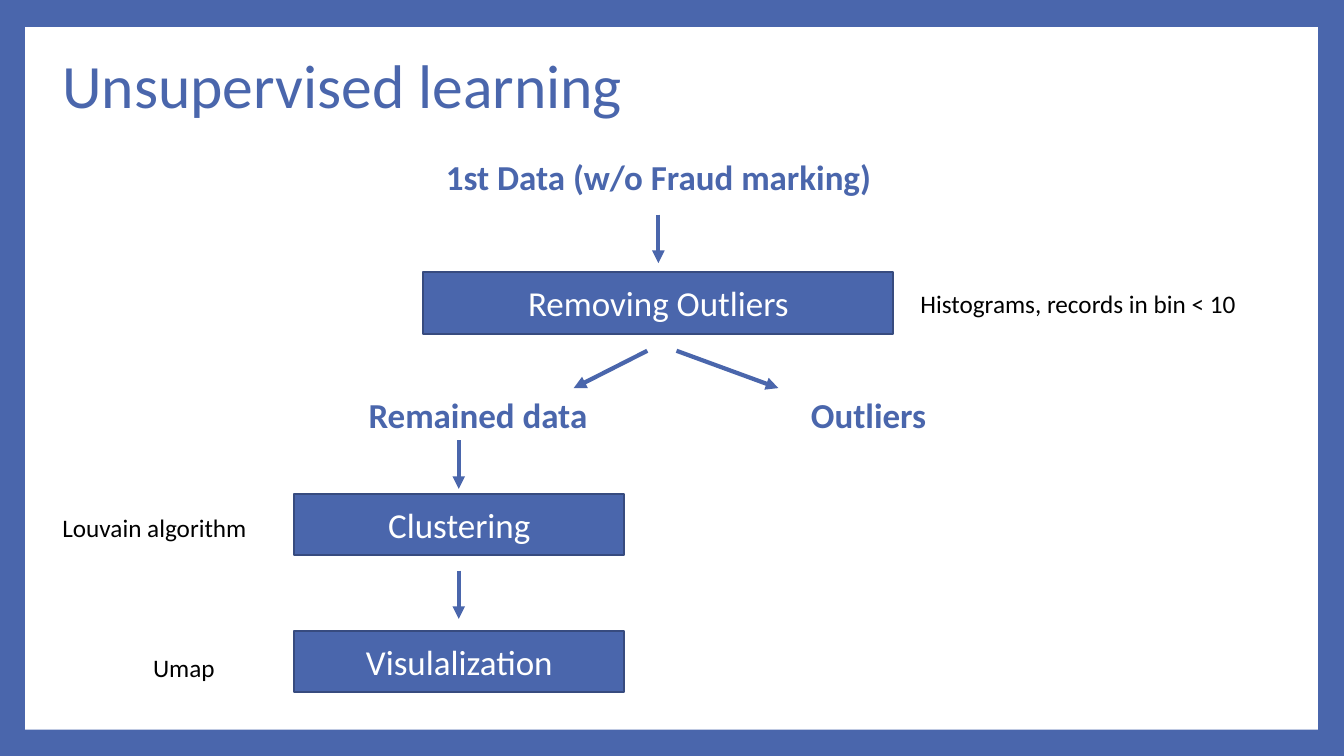
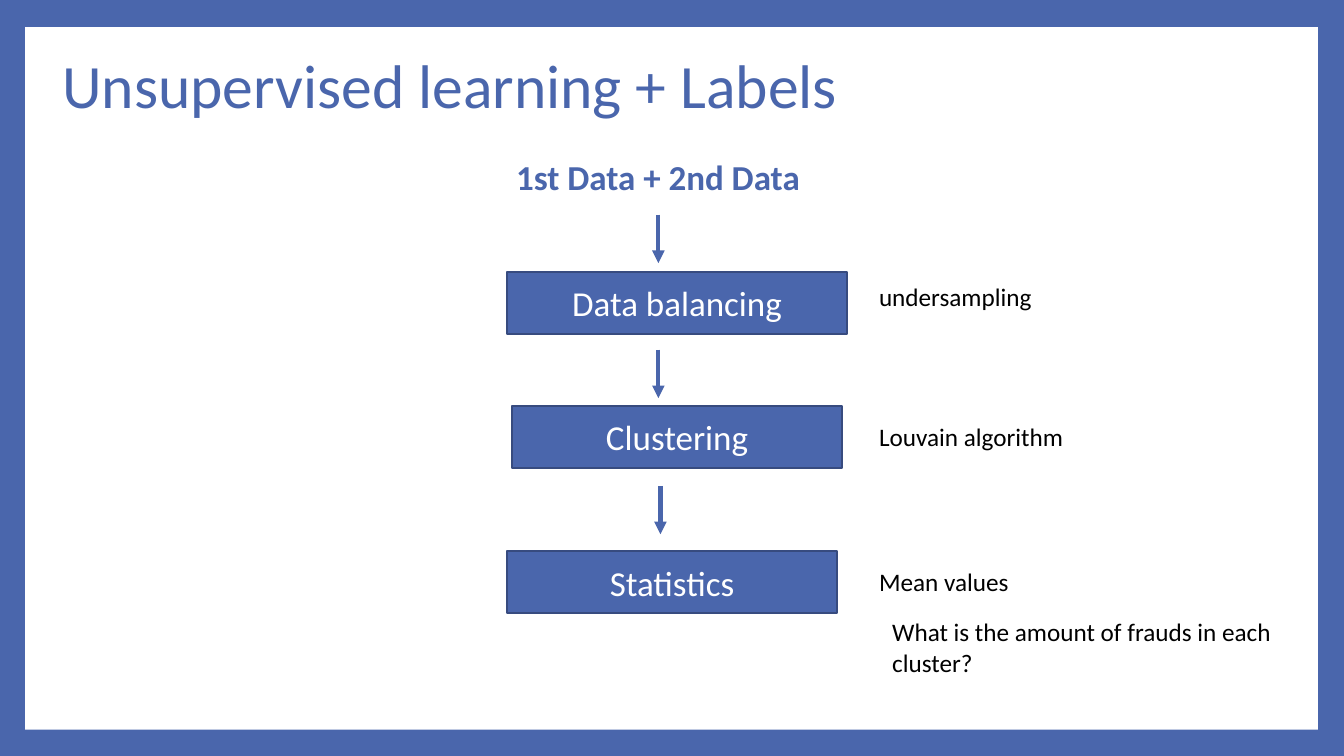
from lxml import etree
from pptx import Presentation
from pptx.dml.color import RGBColor
from pptx.enum.shapes import MSO_CONNECTOR, MSO_SHAPE
from pptx.enum.text import MSO_ANCHOR, PP_ALIGN
from pptx.oxml.ns import qn
from pptx.util import Inches, Pt

RECT = MSO_SHAPE.RECTANGLE
STRAIGHT = MSO_CONNECTOR.STRAIGHT
LEFT, CENTER = PP_ALIGN.LEFT, PP_ALIGN.CENTER
TOP, MIDDLE = MSO_ANCHOR.TOP, MSO_ANCHOR.MIDDLE

FONT = "Calibri"
BLUE, NAVY, WHITE, BLACK = "4A66AC", "374B7F", "FFFFFF", "000000"
STEP_W, STEP_H, ARROW_H = 3.27, 0.61, 0.48


def rgb(value):
    return RGBColor.from_string(value)


def write(shape, text, size=18, color=BLACK, bold=False, align=LEFT,
          anchor=TOP, wrap=True, spacing=None):
    tf = shape.text_frame
    tf.word_wrap = wrap
    tf.vertical_anchor = anchor
    p = tf.paragraphs[0]
    p.alignment = align
    p.line_spacing = spacing
    r = p.add_run()
    r.text = text
    r.font.name = FONT
    r.font.size = Pt(size)
    r.font.bold = bold
    r.font.color.rgb = rgb(color)


class Deck:
    """Flowchart slides in one style, drawn on the current slide."""

    def __init__(self):
        self.prs = Presentation()
        self.prs.slide_width = Inches(13.33)
        self.prs.slide_height = Inches(7.5)
        self.s = None

    def slide(self, title):
        self.s = self.prs.slides.add_slide(self.prs.slide_layouts[6])
        fill = self.s.background.fill
        fill.solid()
        fill.fore_color.rgb = rgb(BLUE)
        self.rect(0.25, 0.27, 12.82, 6.97, WHITE)
        write(self.box(0.52, 0.37, 10.8, 1.02), title, size=44, color=BLUE,
              anchor=MIDDLE, spacing=0.9)

    def box(self, x, y, w, h):
        return self.s.shapes.add_textbox(Inches(x), Inches(y), Inches(w), Inches(h))

    def rect(self, x, y, w, h, color, border=None):
        sp = self.s.shapes.add_shape(RECT, Inches(x), Inches(y), Inches(w), Inches(h))
        sp.shadow.inherit = False
        sp.fill.solid()
        sp.fill.fore_color.rgb = rgb(color)
        if border:
            sp.line.color.rgb = rgb(border)
            sp.line.width = Pt(1.5)
        else:
            sp.line.fill.background()
        return sp

    def step(self, text, x, y, w=STEP_W):
        sp = self.rect(x, y, w, STEP_H, BLUE, NAVY)
        write(sp, text, size=25, color=WHITE, align=CENTER, anchor=MIDDLE)

    def data(self, text, x, y, w):
        write(self.box(x, y, w, 0.52), text, size=25, color=BLUE, bold=True,
              align=CENTER, wrap=False)

    def note(self, text, x, y, w, h=0.4, wrap=False):
        write(self.box(x, y, w, h), text, wrap=wrap)

    def arrow(self, x1, y1, x2, y2):
        line = self.s.shapes.add_connector(
            STRAIGHT, Inches(x1), Inches(y1), Inches(x2), Inches(y2))
        line.line.color.rgb = rgb(BLUE)
        line.line.width = Pt(3)
        etree.SubElement(line.line._get_or_add_ln(), qn("a:tailEnd"), type="triangle")
        etree.SubElement(line._element.spPr, qn("a:effectLst"))

    def down(self, x, y):
        self.arrow(x, y, x, y + ARROW_H)


def unsupervised(deck):
    deck.slide("Unsupervised learning")
    deck.data("1st Data (w/o Fraud marking)", 4.24, 1.49, 4.58)
    deck.down(6.53, 2.13)
    deck.step("Removing Outliers", 4.2, 2.7, 4.66)
    deck.note("Histograms, records in bin < 10", 9.03, 2.81, 3.39)
    deck.arrow(6.42, 3.48, 5.69, 3.85)
    deck.arrow(6.71, 3.48, 7.72, 3.85)
    deck.data("Remained data", 3.49, 3.85, 2.5)
    deck.data("Outliers", 7.91, 3.85, 1.41)
    for y in (4.37, 5.66):
        deck.down(4.55, y)
    deck.step("Clustering", 2.92, 4.9)
    deck.note("Louvain algorithm", 0.52, 5.03, 2.11)
    deck.step("Visulalization", 2.92, 6.26)
    deck.note("Umap", 1.42, 6.42, 0.84)


def with_labels(deck):
    deck.slide("Unsupervised learning + Labels")
    deck.data("1st Data + 2nd Data", 4.94, 1.49, 3.17)
    for x, y in ((6.53, 2.13), (6.53, 3.47), (6.55, 4.82)):
        deck.down(x, y)
    deck.step("Data balancing", 5.03, 2.7, 3.37)
    deck.step("Clustering", 5.08, 4.03)
    deck.step("Statistics", 5.03, 5.47)
    deck.note("undersampling", 8.62, 2.74, 1.76)
    deck.note("Louvain algorithm", 8.62, 4.13, 2.11)
    deck.note("Mean values", 8.62, 5.57, 1.5)
    deck.note("What is the amount of frauds in each cluster?",
              8.75, 6.07, 4.11, 0.73, wrap=True)


def main():
    deck = Deck()
    unsupervised(deck)
    with_labels(deck)
    deck.prs.save("out.pptx")


if __name__ == "__main__":
    main()
